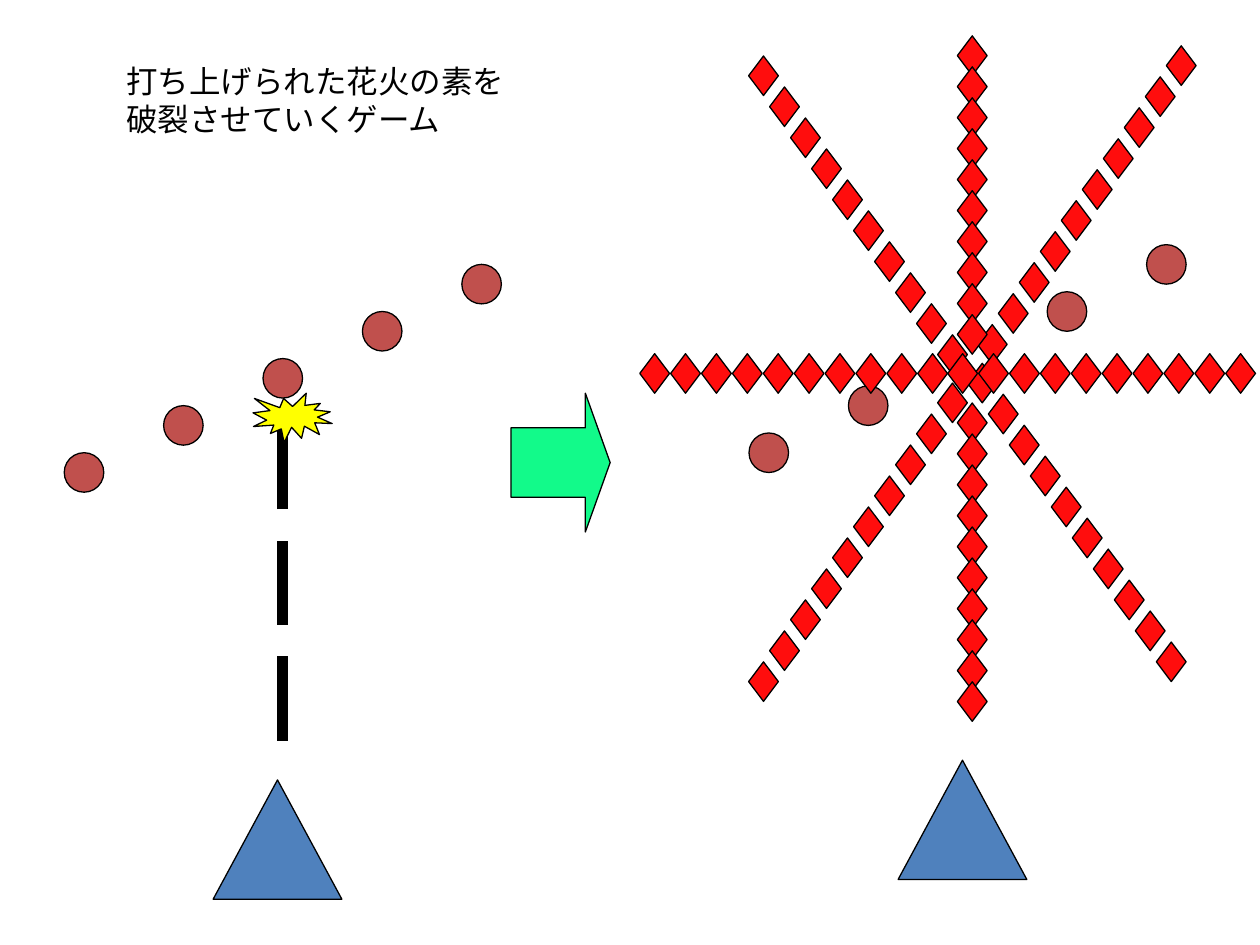
import pptx
import pptx.dml.color
import pptx.enum.dml
import pptx.enum.shapes
import pptx.enum.text
import pptx.oxml.ns
import pptx.util
from lxml import etree

Pt = pptx.util.Pt
SHAPE = pptx.enum.shapes.MSO_SHAPE


def color(hex_text):
    return pptx.dml.color.RGBColor.from_string(hex_text)


def add_outlined(shapes, kind, left, top, width, height, fill):
    """Add a filled preset shape with a thin black outline."""
    shape = shapes.add_shape(kind, Pt(left), Pt(top), Pt(width), Pt(height))
    shape.shadow.inherit = False
    shape.fill.solid()
    shape.fill.fore_color.rgb = color(fill)
    shape.line.color.rgb = color("000000")
    shape.line.width = Pt(0.75)
    return shape


deck = pptx.Presentation()
deck.slide_width = Pt(720)
deck.slide_height = Pt(540)
page = deck.slides.add_slide(deck.slide_layouts[6])

ball_size = 22.6
ball_step_x, ball_step_y = 56.8, -26.9
diamond_width, diamond_height = 17, 22.6

# Before: the shot reaches the middle ball
for i in range(5):
    add_outlined(page.shapes, SHAPE.OVAL, 36.7 + i * ball_step_x, 258.7 + i * ball_step_y,
                 ball_size, ball_size, "C0504D")
add_outlined(page.shapes, SHAPE.ISOSCELES_TRIANGLE, 121.8, 445.7, 73.6, 68.2, "4F81BD")

shot = page.shapes.add_connector(pptx.enum.shapes.MSO_CONNECTOR.STRAIGHT,
                                 Pt(161.5), Pt(423.2), Pt(161.5), Pt(242))
shot.line.color.rgb = color("000000")
shot.line.width = Pt(6)
shot.line.dash_style = pptx.enum.dml.MSO_LINE.LONG_DASH
etree.SubElement(shot._element.spPr, pptx.oxml.ns.qn("a:effectLst"))

arrow = add_outlined(page.shapes, SHAPE.RIGHT_ARROW, 292, 224.7, 56.7, 79.3, "12FA8A")
arrow.adjustments[0] = 0.5
arrow.adjustments[1] = 0.25
add_outlined(page.shapes, SHAPE.EXPLOSION1, 144.6, 224.7, 45.2, 28.2, "FFFF00")

# After: the middle ball has burst
for i in (0, 1, 3, 4):
    add_outlined(page.shapes, SHAPE.OVAL, 428 + i * ball_step_x, 247.4 + i * ball_step_y,
                 ball_size, ball_size, "C0504D")
add_outlined(page.shapes, SHAPE.ISOSCELES_TRIANGLE, 513.2, 434.4, 73.6, 68.2, "4F81BD")

# Each ray of sparks: first left, first top, step right, step down
rays = [
    (552.8, 207.6, 12, 17.7),
    (535.8, 218.9, -12, 17.7),
    (535.8, 191.3, -12, -17.7),
    (558.5, 185.5, 12, -17.7),
    (547.1, 230.3, 0, 17.7),
    (547.1, 20.5, 0, 17.7),
    (365.6, 202.1, 17.65, 0),
    (541.6, 202.1, 17.65, 0),
]
for left, top, step_x, step_y in rays:
    ray = page.shapes.add_group_shape()
    for i in range(10):
        add_outlined(ray.shapes, SHAPE.DIAMOND, left + i * step_x, top + i * step_y,
                     diamond_width, diamond_height, "FF0D0D")

caption = page.shapes.add_textbox(Pt(65.2), Pt(31.8), Pt(230.4), Pt(50.4))
caption.text_frame.word_wrap = False
caption.text_frame.auto_size = pptx.enum.text.MSO_AUTO_SIZE.SHAPE_TO_FIT_TEXT
caption.text_frame.text = "打ち上げられた花火の素を\n破裂させていくゲーム"
for para in caption.text_frame.paragraphs:
    for span in para.runs:
        span.font.name = "Arial"
        span.font.size = Pt(18)
        span.font.color.rgb = color("000000")

deck.save("out.pptx")
